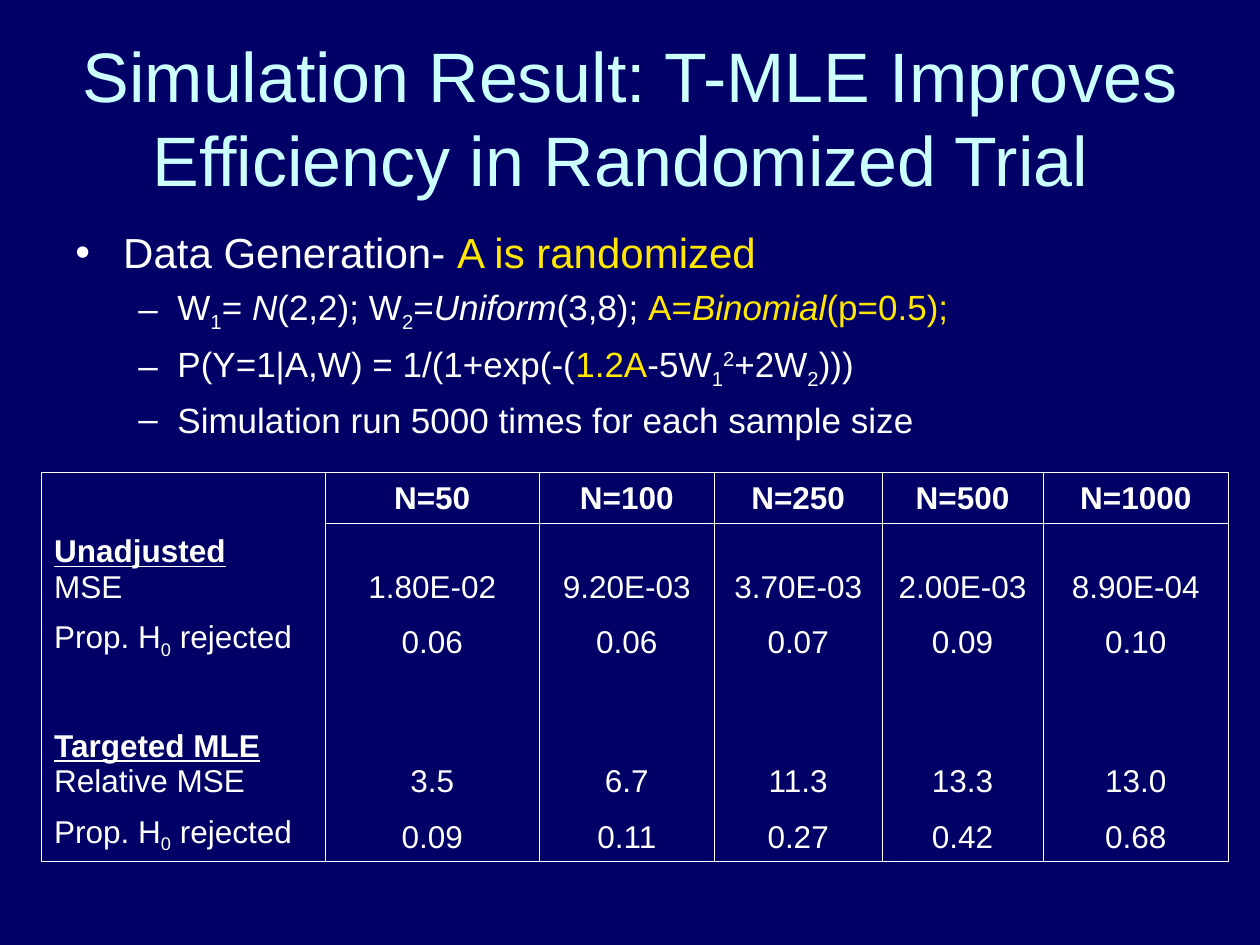
from lxml import etree
from pptx import Presentation
from pptx.dml.color import RGBColor
from pptx.enum.text import MSO_ANCHOR, PP_ALIGN
from pptx.oxml.ns import qn
from pptx.util import Inches, Pt

LEFT, MID = PP_ALIGN.LEFT, PP_ALIGN.CENTER
CENTRE, BASE = MSO_ANCHOR.MIDDLE, MSO_ANCHOR.BOTTOM

THEME = {
    "font": "Arial", "back": "000066", "title": "CCFFFF",
    "text": "FFFFFF", "accent": "FFE701",
    "title size": 40, "lead size": 24, "point size": 20, "cell size": 18,
    "rule": 0.45,
}
SHIFTS = {"_": "-25000", "^": "30000"}

deck = Presentation()
deck.slide_width, deck.slide_height = Inches(10), Inches(7.5)
COL, ROW = deck.slide_width / 20, deck.slide_height / 30

slide = deck.slides.add_slide(deck.slide_layouts[6])
slide.background.fill.solid()
slide.background.fill.fore_color.rgb = RGBColor.from_string(THEME["back"])


def write(par, runs, size, tone="text", align=LEFT):
    """Add (text, marks) runs: b bold, i italic, u underline, y accent, _ sub, ^ super."""
    par.alignment = align
    for text, marks in runs:
        run = par.add_run()
        run.text = text
        look = {"name": THEME["font"], "size": Pt(THEME[size]), "bold": "b" in marks,
                "italic": "i" in marks, "underline": "u" in marks}
        for key, value in look.items():
            setattr(run.font, key, value)
        hue = THEME["accent" if "y" in marks else tone]
        run.font.color.rgb = RGBColor.from_string(hue)
        for mark, shift in SHIFTS.items():
            if mark in marks:
                run.font._element.set("baseline", shift)


def add(root, tag, **attrs):
    return etree.SubElement(root, qn(tag), attrs)


# Title
box = slide.shapes.add_textbox(int(COL), int(1.2 * ROW), int(18 * COL), int(5 * ROW))
box.text_frame.word_wrap = True
box.text_frame.vertical_anchor = CENTRE
title = "Simulation Result: T-MLE Improves Efficiency in Randomized Trial "
write(box.text_frame.paragraphs[0], [(title, "")], "title size", "title", MID)

# Bullets
points = [
    [("Data Generation- ", ""), ("A is randomized", "y")],
    [("W", ""), ("1", "_"), ("= ", ""), ("N", "i"), ("(2,2); W", ""), ("2", "_"),
     ("=", ""), ("Uniform", "i"), ("(3,8); ", ""), ("A=", "y"), ("Binomial", "yi"),
     ("(p=0.5);", "y")],
    [("P(Y=1|A,W) = 1/(1+exp(-(", ""), ("1.2A", "y"), ("-5W", ""), ("1", "_"),
     ("2", "^"), ("+2W", ""), ("2", "_"), (")))", "")],
    [("Simulation run 5000 times for each sample size", "")],
]
# Per level: size, space before, left margin, hanging indent, bullet
levels = [("lead size", 6, 0.38, 0.38, "•"), ("point size", 5, 0.81, 0.31, "–")]

box = slide.shapes.add_textbox(int(COL), int(7 * ROW), int(18.66 * COL), int(7.32 * ROW))
frame = box.text_frame
frame.word_wrap = True
for n, runs in enumerate(points):
    par = frame.add_paragraph() if n else frame.paragraphs[0]
    par.level = min(n, 1)
    size, gap, margin, hang, sign = levels[par.level]
    par.space_before = Pt(gap)
    write(par, runs, size)
    props = par._p.get_or_add_pPr()
    props.set("marL", str(Inches(margin)))
    props.set("indent", str(-Inches(hang)))
    add(add(props, "a:buClr"), "a:srgbClr", val=THEME["text"])
    add(props, "a:buFont", typeface=THEME["font"])
    add(props, "a:buChar", char=sign)

# Table: first column holds lists of paragraphs, the rest plain values
share = [("Prop. H", ""), ("0", "_"), (" rejected", "")]
rows = [
    ([], ["N=50", "N=100", "N=250", "N=500", "N=1000"]),
    ([[("Unadjusted", "bu")], [("MSE", "")]],
     ["1.80E-02", "9.20E-03", "3.70E-03", "2.00E-03", "8.90E-04"]),
    ([share], ["0.06", "0.06", "0.07", "0.09", "0.10"]),
    ([], [""] * 5),
    ([[("Targeted MLE", "bu")], [("Relative MSE", "")]],
     ["3.5", "6.7", "11.3", "13.3", "13.0"]),
    ([share], ["0.09", "0.11", "0.27", "0.42", "0.68"]),
]
widths = [4.5, 3.4, 2.78, 2.66, 2.56, 2.94]
heights = [1.6, 2.8, 1.76] * 2
heights[3] = 1.6
last = len(rows) - 1

table = slide.shapes.add_table(
    len(rows), len(widths), int(0.66 * COL), int(15 * ROW),
    int(sum(widths) * COL), int(sum(heights) * ROW)).table
table.first_row = table.horz_banding = False
for column, width in zip(table.columns, widths):
    column.width = int(width * COL)
for line, height in zip(table.rows, heights):
    line.height = int(height * ROW)

for r, (label, values) in enumerate(rows):
    bold = "" if r else "b"
    cells = [label] + [[[(value, bold)]] if value else [] for value in values]
    for c, pars in enumerate(cells):
        cell = table.cell(r, c)
        cell.vertical_anchor = BASE
        for n, runs in enumerate(pars):
            par = cell.text_frame.add_paragraph() if n else cell.text_frame.paragraphs[0]
            write(par, runs, "cell size", align=MID if c else LEFT)
        sides = {"L": True, "R": True,
                 "T": r == 0 or (r == 1 and c > 0),
                 "B": r == last or (r == 0 and c > 0)}
        props = cell._tc.get_or_add_tcPr()
        for side, shown in sides.items():
            edge = add(props, "a:ln" + side, w=str(Pt(THEME["rule"])))
            if shown:
                add(add(edge, "a:solidFill"), "a:srgbClr", val=THEME["text"])
            else:
                add(edge, "a:noFill")
        cell.fill.background()

deck.save("out.pptx")
